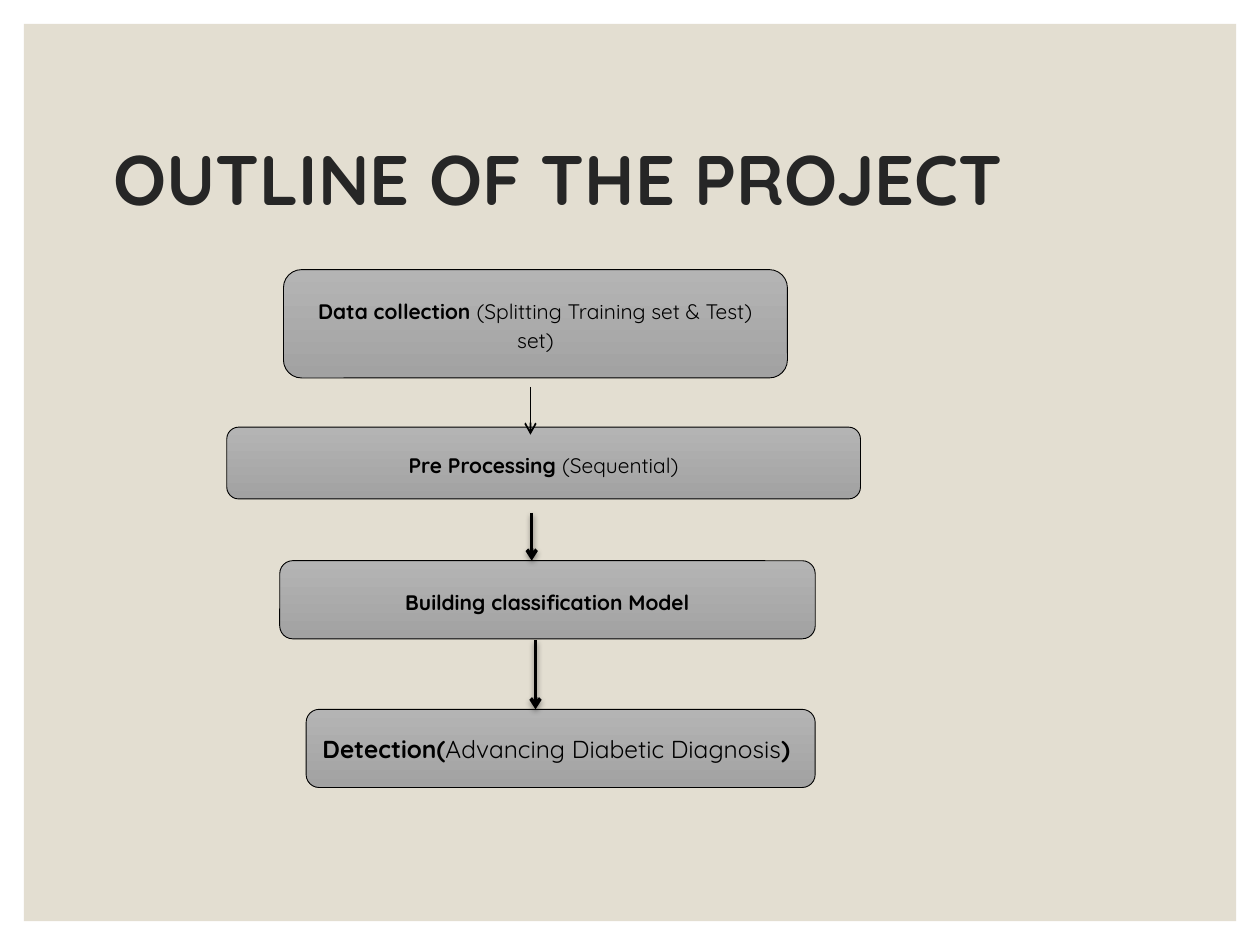
from dataclasses import dataclass

import lxml.etree
import pptx
import pptx.dml.color
import pptx.enum.shapes
import pptx.enum.text
import pptx.oxml.ns
import pptx.util

Inches = pptx.util.Inches
Pt = pptx.util.Pt
qn = pptx.oxml.ns.qn
PP_ALIGN = pptx.enum.text.PP_ALIGN
MSO_SHAPE = pptx.enum.shapes.MSO_SHAPE
FONT = "Quicksand"


@dataclass
class Step:
    left: float
    top: float
    width: float
    height: float
    runs: list[tuple[str, bool]]
    size: int = 12
    centred: bool = True


@dataclass
class Arrow:
    x: float
    top: float
    bottom: float
    weight: float = 2
    shadow: bool = True


STEPS = [
    Step(2.25, 2.14, 4, 0.86, [("Data collection ", True), ("(Splitting Training set & Test) set)", False)]),
    Step(1.8, 3.39, 5.03, 0.57, [("Pre Processing ", True), ("(Sequential)", False)]),
    Step(2.22, 4.45, 4.25, 0.62, [("Building classification Model", True)]),
    Step(2.43, 5.63, 4.04, 0.62,
         [("Detection(", True), ("Advancing Diabetic Diagnosis", False), (")", True)], 14, False),
]
ARROWS = [
    Arrow(4.21, 3.07, 3.45, 1, False),
    Arrow(4.22, 4.07, 4.45),
    Arrow(4.25, 5.08, 5.63),
]


def rgb(value: str) -> pptx.dml.color.RGBColor:
    return pptx.dml.color.RGBColor.from_string(value)


def format_run(r, size: float, color: str, bold: bool) -> None:
    r.font.name = FONT
    r.font.size = Pt(size)
    r.font.bold = bold
    r.font.color.rgb = rgb(color)


def draw_panel(s) -> None:
    sp = s.shapes.add_shape(MSO_SHAPE.RECTANGLE, Inches(0.19), Inches(0.19), Inches(9.62), Inches(7.12))
    sp.shadow.inherit = False
    sp.fill.solid()
    sp.fill.fore_color.rgb = rgb("E3DED1")
    sp.line.fill.background()
    s.shapes._spTree.insert(2, sp._element)


def draw_title(s, text: str) -> None:
    sp = s.shapes.title
    sp.left, sp.top, sp.width, sp.height = Inches(0.8), Inches(0.7), Inches(8.4), Inches(1.5)
    tf = sp.text_frame
    tf.text = text
    tf.word_wrap = True
    tf.vertical_anchor = pptx.enum.text.MSO_ANCHOR.MIDDLE
    p = tf.paragraphs[0]
    p.alignment = PP_ALIGN.LEFT
    p.line_spacing = 0.9
    format_run(p.runs[0], 40, "262626", True)


def draw_step(s, step: Step) -> None:
    sp = s.shapes.add_shape(MSO_SHAPE.ROUNDED_RECTANGLE, Inches(step.left), Inches(step.top),
                            Inches(step.width), Inches(step.height))
    sp.shadow.inherit = False
    sp.fill.gradient()
    sp.fill.gradient_angle = 270
    for stop, color in zip(sp.fill.gradient_stops, ("B4B4B4", "A2A2A2")):
        stop.color.rgb = rgb(color)
    sp.line.color.rgb = rgb("000000")
    sp.line.width = Pt(0.5)
    tf = sp.text_frame
    tf.word_wrap = True
    tf.vertical_anchor = pptx.enum.text.MSO_ANCHOR.MIDDLE
    p = tf.paragraphs[0]
    p.alignment = PP_ALIGN.LEFT
    if step.centred:
        p.alignment = PP_ALIGN.CENTER
        p.line_spacing = 1.15
        p.space_after = Pt(10)
    for text, bold in step.runs:
        r = p.add_run()
        r.text = text
        format_run(r, step.size, "000000", bold)


def draw_arrow(s, arrow: Arrow) -> None:
    cxn = s.shapes.add_connector(pptx.enum.shapes.MSO_CONNECTOR.STRAIGHT, Inches(arrow.x),
                                 Inches(arrow.top), Inches(arrow.x), Inches(arrow.bottom))
    cxn.line.color.rgb = rgb("000000")
    cxn.line.width = Pt(arrow.weight)
    lxml.etree.SubElement(cxn.line._get_or_add_ln(), qn("a:tailEnd"), type="arrow")
    effects = lxml.etree.SubElement(cxn._element.spPr, qn("a:effectLst"))
    if arrow.shadow:
        shadow = lxml.etree.SubElement(effects, qn("a:outerShdw"), blurRad="40000", dist="20000",
                                       dir="5400000", rotWithShape="0")
        color = lxml.etree.SubElement(shadow, qn("a:srgbClr"), val="000000")
        lxml.etree.SubElement(color, qn("a:alpha"), val="38000")


def main() -> None:
    prs = pptx.Presentation()
    prs.slide_width, prs.slide_height = Inches(10), Inches(7.5)
    s = prs.slides.add_slide(prs.slide_layouts[5])
    draw_panel(s)
    draw_title(s, "OUTLINE OF THE PROJECT")
    for step in STEPS:
        draw_step(s, step)
    for arrow in ARROWS:
        draw_arrow(s, arrow)
    prs.save("out.pptx")


if __name__ == "__main__":
    main()
